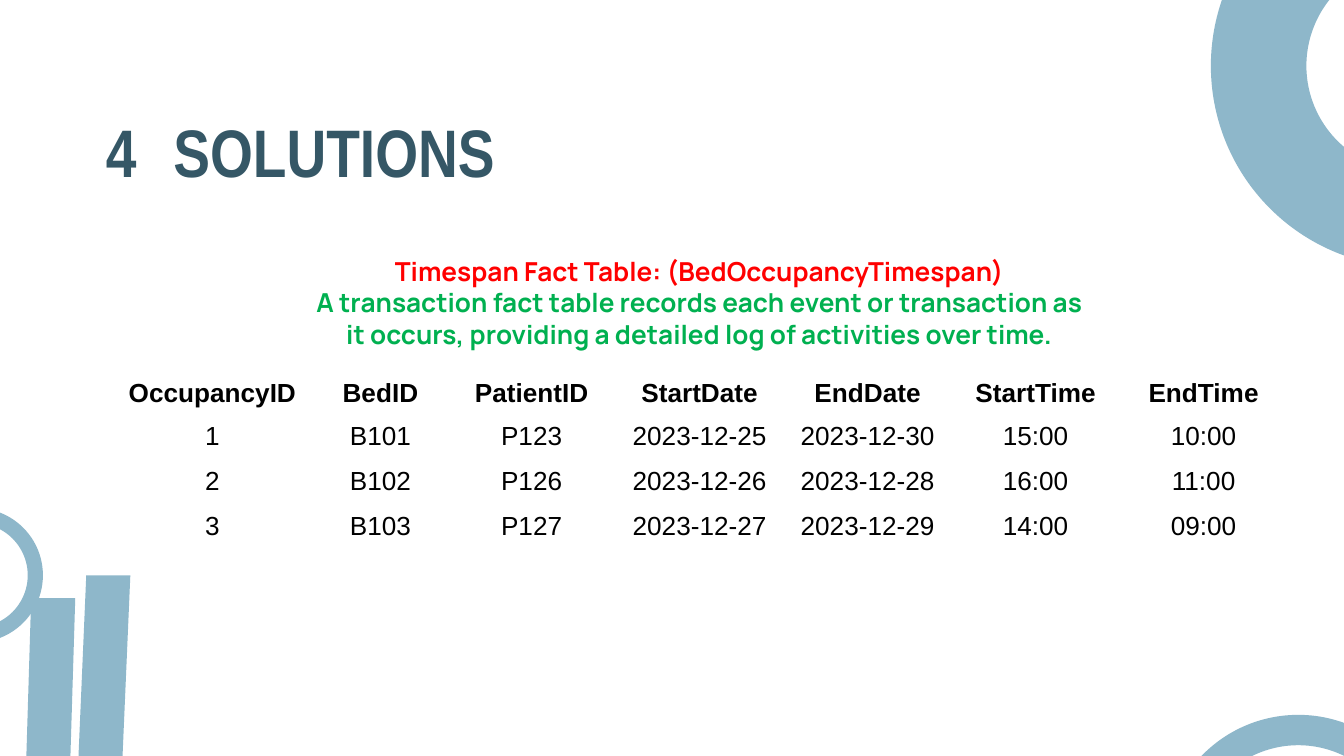
from dataclasses import dataclass

from pptx import Presentation
from pptx.dml.color import RGBColor
from pptx.enum.shapes import MSO_SHAPE
from pptx.enum.text import MSO_ANCHOR, MSO_AUTO_SIZE, PP_ALIGN
from pptx.util import Pt

DONUT = MSO_SHAPE.DONUT
SLANTED = MSO_SHAPE.FLOWCHART_DATA
TOP, MIDDLE, BOTTOM = MSO_ANCHOR.TOP, MSO_ANCHOR.MIDDLE, MSO_ANCHOR.BOTTOM
LEFT, CENTER = PP_ALIGN.LEFT, PP_ALIGN.CENTER
NO_FIT = MSO_AUTO_SIZE.NONE
TITLE_ONLY = 5


@dataclass(frozen=True)
class Theme:
    """Colours, fonts and type sizes of the deck."""
    title: RGBColor = RGBColor(0x35, 0x57, 0x66)
    decor: RGBColor = RGBColor(0x8E, 0xB7, 0xCA)
    heading: RGBColor = RGBColor(0xFF, 0x00, 0x00)
    summary: RGBColor = RGBColor(0x00, 0xB0, 0x50)
    text: RGBColor = RGBColor(0x00, 0x00, 0x00)
    title_font: str = "Arial Narrow"
    intro_font: str = "Manrope"
    table_font: str = "Arial"
    title_size: int = 36
    body_size: int = 14


THEME = Theme()

RINGS = [
    ((623.5, 383, 144, 144), 0.113),
    ((648.7, -72.7, 216, 216), 0.237),
    ((-49, 272.2, 72, 72), 0.113),
]
BARS = [(10.8, 320.4, 29.5, 193.7), (40.3, 308.2, 29.5, 137.5)]

INTRO = [
    ("Timespan Fact Table: (BedOccupancyTimespan)", THEME.heading),
    ("A transaction fact table records each event or transaction as it occurs, "
     "providing a detailed log of activities over time.", THEME.summary),
]

COLUMN_SHARES = [6, 4, 5, 5, 5, 5, 5]
ROWS = [
    ["OccupancyID", "BedID", "PatientID", "StartDate", "EndDate", "StartTime", "EndTime"],
    ["1", "B101", "P123", "2023-12-25", "2023-12-30", "15:00", "10:00"],
    ["2", "B102", "P126", "2023-12-26", "2023-12-28", "16:00", "11:00"],
    ["3", "B103", "P127", "2023-12-27", "2023-12-29", "14:00", "09:00"],
]


def points(box):
    """Turn a box of numbers into lengths in points."""
    return [Pt(v) for v in box]


def style(p, font, size, color, bold=True, align=LEFT):
    """Set the font and alignment of a paragraph."""
    p.alignment = align
    p.font.name = font
    p.font.size = Pt(size)
    p.font.bold = bold
    p.font.color.rgb = color


def add_decor(slide, kind, box, adjustment=None):
    """Place one plain decorative shape in the box."""
    sp = slide.shapes.add_shape(kind, *points(box))
    sp.shadow.inherit = False
    sp.fill.solid()
    sp.fill.fore_color.rgb = THEME.decor
    sp.line.fill.background()
    if adjustment is not None:
        sp.adjustments[0] = adjustment


def add_heading(slide, box, number, title, indent):
    """Place the section number and, after the indent, the slide title."""
    left, top, width, height = box
    sp = slide.shapes.title
    sp.left, sp.top, sp.width, sp.height = points((left + indent, top, width - indent, height))
    label = slide.shapes.add_textbox(*points((left, top, 31, height)))
    for shape, text, wrap in ((sp, title, True), (label, number, False)):
        tf = shape.text_frame
        tf.text = text
        tf.word_wrap = wrap
        tf.auto_size = NO_FIT
        tf.vertical_anchor = TOP
        style(tf.paragraphs[0], THEME.title_font, THEME.title_size, THEME.title)


def add_intro(slide, box, lines):
    """Place the centred introduction, one paragraph for each line."""
    tf = slide.shapes.add_textbox(*points(box)).text_frame
    tf.word_wrap = True
    tf.text = "\n".join(text for text, _ in lines)
    for p, (_, color) in zip(tf.paragraphs, lines):
        style(p, THEME.intro_font, THEME.body_size, color, align=CENTER)


def add_fact_table(slide, box, rows, shares):
    """Place the unfilled fact table, dividing the width by column shares."""
    table = slide.shapes.add_table(len(rows), len(shares), *points(box)).table
    table.first_row = table.horz_banding = False
    for column, share in zip(table.columns, shares):
        column.width = Pt(box[2] * share / sum(shares))
    for i, values in enumerate(rows):
        for j, value in enumerate(values):
            cell = table.cell(i, j)
            cell.text = value
            cell.fill.background()
            cell.vertical_anchor = MIDDLE if i else BOTTOM
            style(cell.text_frame.paragraphs[0], THEME.table_font, THEME.body_size,
                  THEME.text, bold=i == 0, align=CENTER)


def main():
    """Build the slide and save it."""
    prs = Presentation()
    prs.slide_width, prs.slide_height = Pt(720), Pt(405)
    slide = prs.slides.add_slide(prs.slide_layouts[TITLE_ONLY])
    for box, thickness in RINGS:
        add_decor(slide, DONUT, box, thickness)
    add_heading(slide, (49.7, 55.4, 317.5, 51), "4", "SOLUTIONS", 36)
    for box in BARS:
        add_decor(slide, SLANTED, box)
    add_intro(slide, (162, 133.2, 425.5, 58.3), INTRO)
    add_fact_table(slide, (59.8, 198, 630, 96), ROWS, COLUMN_SHARES)
    prs.save("out.pptx")


if __name__ == "__main__":
    main()
